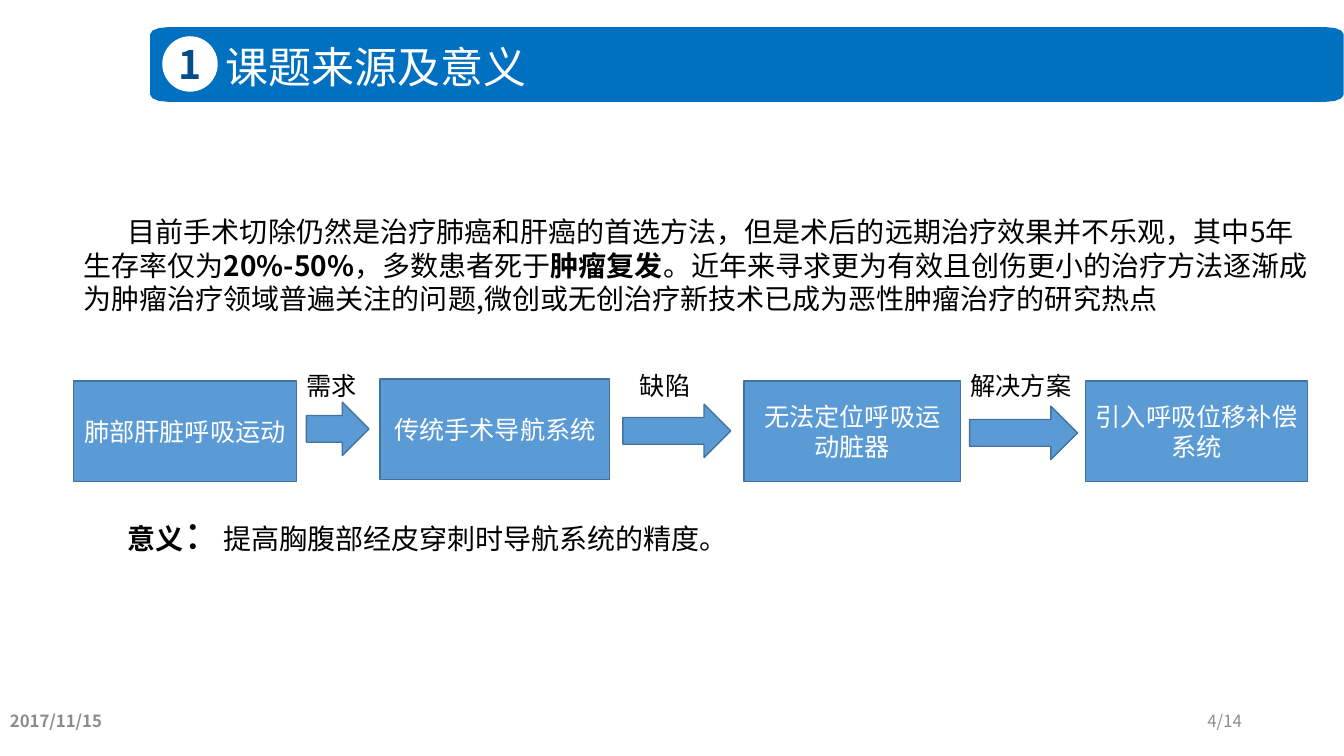
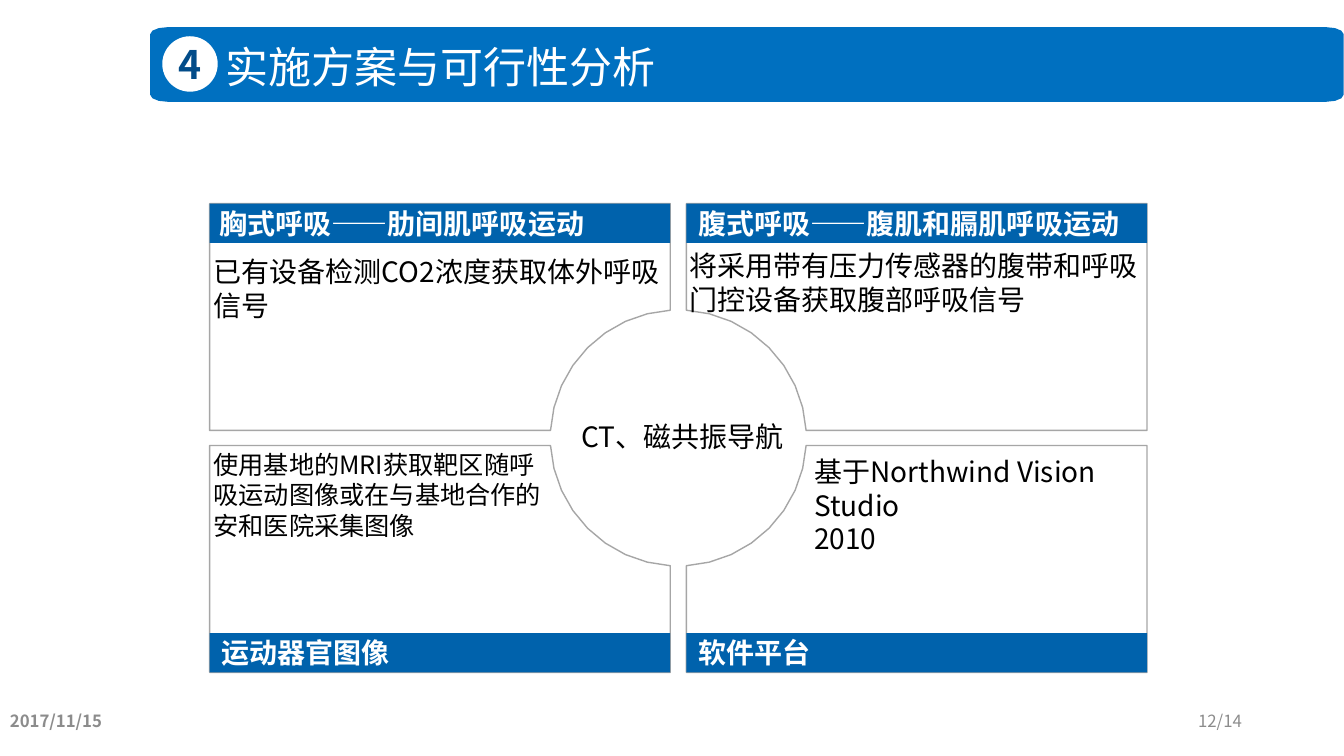
import math
from dataclasses import dataclass

from lxml import etree
from pptx import Presentation
from pptx import util as u
from pptx.dml.color import RGBColor
from pptx.enum import shapes, text
from pptx.oxml.ns import qn


@dataclass(frozen=True)
class Theme:
    """Colours, font and type sizes of the deck."""
    font: str = "Noto Sans CJK SC"
    white: str = "FFFFFF"
    ink: str = "000000"
    band: str = "0070C0"
    badge: str = "024C89"
    step: str = "5B9BD5"
    step_line: str = "43739E"
    heading: str = "0062AC"
    panel_line: str = "A6A6A6"
    footer: str = "8C8C8C"
    title_size: float = 30.7
    badge_size: float = 28
    body_size: float = 20
    label_size: float = 18
    footer_size: float = 12


@dataclass(frozen=True)
class Box:
    """A rectangle in inches."""
    left: float
    top: float
    width: float
    height: float

    def inner(self, left, top, width, height):
        """Return a box placed relative to this one."""
        return Box(self.left + left, self.top + top, width, height)

    def lengths(self):
        """Return the four measures as lengths."""
        return [u.Inches(v) for v in (self.left, self.top, self.width, self.height)]


THEME = Theme()
ALIGN = text.PP_ALIGN
ANCHOR = text.MSO_ANCHOR
PRESET = shapes.MSO_SHAPE
DATE = "2017/11/15"
PAGE_TOTAL = 14


def write(frame, paras, size, color, bold=False, align=ALIGN.LEFT, indent=0):
    """Fill a text frame; a paragraph is a string or a list of (text, bold, size)."""
    for index, content in enumerate(paras):
        para = frame.add_paragraph() if index else frame.paragraphs[0]
        para.alignment = align
        para.font.size = u.Pt(size)
        para.font.bold = bold
        para.font.color.rgb = RGBColor.from_string(color)
        para.font.name = THEME.font
        props = para._p.get_or_add_pPr()
        etree.SubElement(props.find(qn("a:defRPr")), qn("a:ea"), typeface=THEME.font)
        if indent:
            props.set("indent", str(u.Inches(indent)))
        spans = [(content, None, None)] if isinstance(content, str) else content
        for words, strong, points in spans:
            span = para.add_run()
            span.text = words
            span.font.bold = strong
            span.font.size = u.Pt(points) if points else None


def add_text(page, box, paras, size=THEME.body_size, color=THEME.ink,
             wrap=True, anchor=ANCHOR.TOP, **style):
    """Add a text box."""
    frame = page.shapes.add_textbox(*box.lengths()).text_frame
    frame.word_wrap = wrap
    frame.vertical_anchor = anchor
    write(frame, paras, size, color, **style)


def paint(shape, fill, line=None):
    """Give a shape a flat fill and an optional outline."""
    shape.shadow.inherit = False
    shape.fill.solid()
    shape.fill.fore_color.rgb = RGBColor.from_string(fill)
    if line:
        shape.line.color.rgb = RGBColor.from_string(line)
        shape.line.width = u.Pt(1)
    else:
        shape.line.fill.background()


def add_preset(page, kind, box, fill, line=None):
    """Add a painted preset shape and return it."""
    shape = page.shapes.add_shape(kind, *box.lengths())
    paint(shape, fill, line)
    shape.text_frame.vertical_anchor = ANCHOR.MIDDLE
    return shape


def add_outline(page, points, fill, line=None):
    """Add a closed freeform through points in inches."""
    corners = [(u.Inches(x), u.Inches(y)) for x, y in points]
    builder = page.shapes.build_freeform(*corners[0])
    builder.add_line_segments(corners[1:], close=True)
    paint(builder.convert_to_shape(), fill, line)


def arc(center, radii, start, end, steps):
    """Return points along an elliptical arc, angles in radians."""
    angles = [start + (end - start) * i / steps for i in range(steps + 1)]
    return [(center[0] + radii[0] * math.cos(a), center[1] + radii[1] * math.sin(a))
            for a in angles]


def add_header(page, box, number, title):
    """Draw the title band, the numbered badge and the title."""
    rx, ry = 0.17, 0.07
    left, right = box.left + rx, box.left + box.width - rx
    top, bottom = box.top + ry, box.top + box.height - ry
    centers = [(right, bottom), (left, bottom), (left, top), (right, top)]
    points = [point for i, center in enumerate(centers)
              for point in arc(center, (rx, ry), i * math.pi / 2, (i + 1) * math.pi / 2, 3)]
    add_outline(page, points, THEME.band)

    badge = add_preset(page, PRESET.OVAL, box.inner(0.12, 0.09, 0.55, 0.55), THEME.white)
    frame = badge.text_frame
    frame.margin_left = frame.margin_right = frame.margin_top = frame.margin_bottom = 0
    frame.word_wrap = False
    write(frame, [number], THEME.badge_size, THEME.badge, bold=True, align=ALIGN.CENTER)

    holder = page.shapes.title
    page.shapes._spTree.append(holder._element)
    holder.left, holder.top, holder.width, holder.height = box.inner(
        0.65, 0.08, 5.08, 0.62).lengths()
    holder.text_frame.auto_size = text.MSO_AUTO_SIZE.NONE
    holder.text_frame.vertical_anchor = ANCHOR.TOP
    write(holder.text_frame, [title], THEME.title_size, THEME.white)


def add_footer(page, box, page_number):
    """Write the date and the page count."""
    add_text(page, box.inner(0, 0, 3, box.height), [DATE], THEME.footer_size,
             THEME.footer, anchor=ANCHOR.MIDDLE, bold=True)
    add_text(page, box.inner(box.width - 3, 0, 3, box.height),
             [f"{page_number}/{PAGE_TOTAL}"], THEME.footer_size, THEME.footer,
             anchor=ANCHOR.MIDDLE, align=ALIGN.RIGHT)


def add_page(deck, number, title, page_number):
    """Add a title-only slide with header and footer."""
    page = deck.slides.add_slide(deck.slide_layouts[5])
    add_header(page, Box(1.49, 0.27, 11.84, 0.74), number, title)
    add_footer(page, Box(0, 6.95, 12.42, 0.4), page_number)
    return page


def add_flow(page, box):
    """Draw the steps and the labelled arrows between them."""
    steps = [
        (0, 0.17, 2.21, "肺部肝脏呼吸运动"),
        (3.04, 0.15, 2.28, "传统手术导航系统"),
        (6.65, 0.17, 2.15, "无法定位呼吸运动脏器"),
        (10.04, 0.17, 2.2, "引入呼吸位移补偿系统"),
    ]
    for left, top, width, words in steps:
        step = add_preset(page, PRESET.RECTANGLE, box.inner(left, top, width, 1),
                          THEME.step, THEME.step_line)
        write(step.text_frame, [words], THEME.label_size, THEME.white, align=ALIGN.CENTER)

    arrows = [
        (2.31, 0.38, 0.62, "需求", 2.21, 0.71),
        (5.45, 0.4, 1.07, "缺陷", 5.52, 0.71),
        (8.89, 0.42, 1.07, "解决方案", 8.8, 1.21),
    ]
    for left, top, width, words, label_left, label_width in arrows:
        add_preset(page, PRESET.RIGHT_ARROW, box.inner(left, top, width, 0.53),
                   THEME.step, THEME.step_line)
        add_text(page, box.inner(label_left, 0.01, label_width, 0.4), [words],
                 THEME.label_size, wrap=False)


def add_background_page(deck):
    """Build the slide on the origin and meaning of the topic."""
    page = add_page(deck, "1", "课题来源及意义", 4)
    summary = [
        ("目前手术切除仍然是治疗肺癌和肝癌的首选方法，但是术后的远期治疗效果并不乐观，"
         "其中5年生存率仅为", None, None),
        ("20%-50%", True, None),
        ("，多数患者死于", None, None),
        ("肿瘤复发", True, None),
        ("。近年来寻求更为有效且创伤更小的治疗方法逐渐成为肿瘤治疗领域普遍关注的问题,"
         "微创或无创治疗新技术已成为恶性肿瘤治疗的研究热点", None, None),
    ]
    meaning = [
        ("意义", True, None),
        ("：", None, 28),
        ("提高胸腹部经皮穿刺时导航系统的精度。", None, None),
    ]
    add_text(page, Box(0.73, 2.08, 12.43, 1.11), [summary], indent=0.44)
    add_flow(page, Box(0.73, 3.61, 12.24, 1.17))
    add_text(page, Box(0.73, 5.01, 7.12, 0.57), [meaning], indent=0.44)


def add_panel(page, box, center, radius, side, heading, margin):
    """Draw one panel with a round notch towards the centre and a heading bar."""
    sx, sy = side
    cx, cy = center
    inner_x, outer_x = (box.left, box.left + box.width)[::sx]
    inner_y, outer_y = (box.top, box.top + box.height)[::sy]
    start = math.asin(abs(inner_y - cy) / radius)
    end = math.acos(abs(inner_x - cx) / radius)
    notch = arc(center, (sx * radius, sy * radius), start, end, 8)
    add_outline(page, notch + [(inner_x, outer_y), (outer_x, outer_y), (outer_x, inner_y)],
                THEME.white, THEME.panel_line)

    height = 0.39
    top = 0 if sy < 0 else box.height - height
    bar = add_preset(page, PRESET.RECTANGLE, box.inner(0, top, box.width, height),
                     THEME.heading)
    bar.text_frame.margin_left = u.Inches(margin)
    write(bar.text_frame, [heading], THEME.body_size, THEME.white, bold=True)


def add_board(page, box):
    """Draw four panels around a central circle."""
    width, height = 4.57, 2.25
    center = (box.left + box.width / 2, box.top + box.height / 2)
    panels = [
        ((-1, -1), "胸式呼吸——肋间肌呼吸运动", 0.1, (-0.06, 0.46, 4.66, 0.77),
         THEME.body_size, ["已有设备检测CO2浓度获取体外呼吸", "信号"]),
        ((1, -1), "腹式呼吸——腹肌和膈肌呼吸运动", 0.12, (-0.07, 0.4, 4.9, 0.77),
         THEME.body_size, ["将采用带有压力传感器的腹带和呼吸", "门控设备获取腹部呼吸信号"]),
        ((-1, 1), "运动器官图像", 0.12, (-0.06, -0.01, 3.8, 1.01), THEME.label_size,
         ["使用基地的MRI获取靶区随呼", "吸运动图像或在与基地合作的", "安和医院采集图像"]),
        ((1, 1), "软件平台", 0.12, (1.17, 0.04, 3.61, 0.77), THEME.body_size,
         ["基于Northwind Vision Studio", "2010"]),
    ]
    for side, heading, margin, place, size, lines in panels:
        left = 0 if side[0] < 0 else box.width - width
        top = 0 if side[1] < 0 else box.height - height
        panel = box.inner(left, top, width, height)
        add_panel(page, panel, center, 1.27, side, heading, margin)
        add_text(page, panel.inner(*place), lines, size)
    add_text(page, box.inner(3.59, 2.09, 2.23, 0.44), ["CT、磁共振导航"])


def add_plan_page(deck):
    """Build the slide on the plan and its feasibility."""
    page = add_page(deck, "4", "实施方案与可行性分析", 12)
    add_board(page, Box(2.08, 2.02, 9.3, 4.65))


def main():
    """Build and save the deck."""
    deck = Presentation()
    deck.slide_width, deck.slide_height = u.Inches(40 / 3), u.Inches(7.5)
    add_background_page(deck)
    add_plan_page(deck)
    deck.save("out.pptx")


if __name__ == "__main__":
    main()
